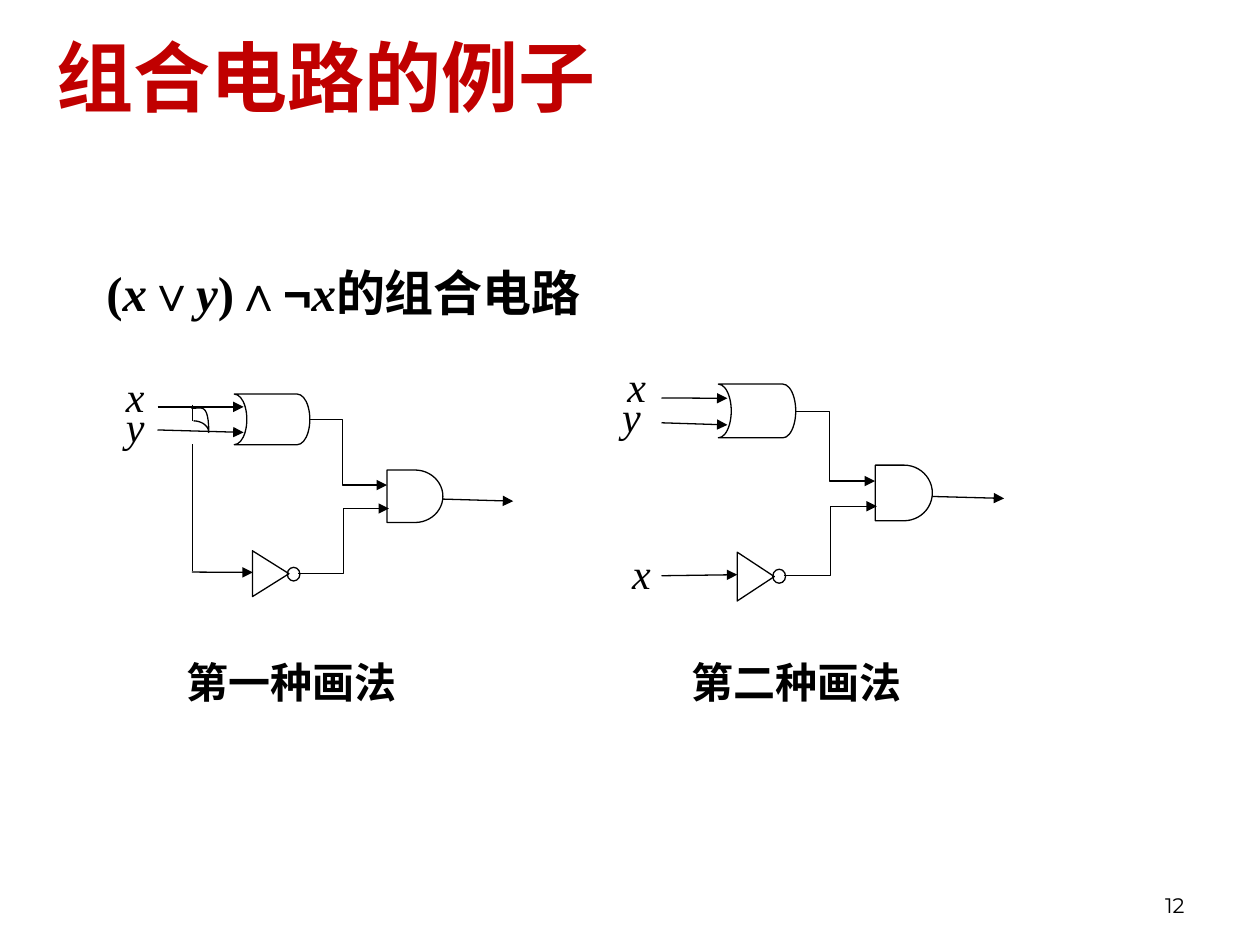
from lxml import etree
from pptx import Presentation
from pptx.dml.color import RGBColor
from pptx.enum.shapes import MSO_CONNECTOR, MSO_SHAPE
from pptx.enum.text import MSO_ANCHOR, PP_ALIGN
from pptx.oxml.ns import qn
from pptx.util import Pt

RED = RGBColor(0xC0, 0x00, 0x00)
BLACK = RGBColor(0x00, 0x00, 0x00)
SERIF, SANS, NUMBER = "Times New Roman", "Arial", "Montserrat"
STRAIGHT, ELBOW = MSO_CONNECTOR.STRAIGHT, MSO_CONNECTOR.ELBOW
OR_GATE, AND_GATE = MSO_SHAPE.FLOWCHART_STORED_DATA, MSO_SHAPE.FLOWCHART_DELAY
TRIANGLE, CIRCLE = MSO_SHAPE.ISOSCELES_TRIANGLE, MSO_SHAPE.OVAL
TOP, MIDDLE, BOTTOM = MSO_ANCHOR.TOP, MSO_ANCHOR.MIDDLE, MSO_ANCHOR.BOTTOM
LEFT, RIGHT, JUSTIFY = PP_ALIGN.LEFT, PP_ALIGN.RIGHT, PP_ALIGN.JUSTIFY
LINE_WIDTH = Pt(0.75)

prs = Presentation()
prs.slide_width, prs.slide_height = Pt(720), Pt(540)
s = prs.slides.add_slide(prs.slide_layouts[6])


def add_text(box, runs, size, color=BLACK, align=JUSTIFY, anchor=TOP):
    """Add a text box; runs holds (text, font, bold, italic)."""
    tf = s.shapes.add_textbox(*map(Pt, box)).text_frame
    tf.word_wrap = True
    tf.vertical_anchor = anchor
    p = tf.paragraphs[0]
    p.alignment = align
    for text, font, bold, italic in runs:
        r = p.add_run()
        r.text = text
        r.font.name, r.font.size = font, Pt(size)
        r.font.bold, r.font.italic = bold, italic
        r.font.color.rgb = color
    return tf


def add_wire(group, ends, arrow=True, kind=STRAIGHT, bend=None):
    """Add a wire (x1, y1, x2, y2), with the elbow at the fraction bend."""
    c = group.shapes.add_connector(kind, *map(Pt, ends))
    c.line.width = LINE_WIDTH
    c.line.color.rgb = BLACK
    sp_pr = c._element.spPr
    if arrow:
        etree.SubElement(sp_pr.find(qn("a:ln")), qn("a:tailEnd"), type="triangle")
    if bend:
        guides = sp_pr.find(qn("a:prstGeom")).find(qn("a:avLst"))
        etree.SubElement(guides, qn("a:gd"), name="adj1", fmla=f"val {round(bend * 100000)}")
    etree.SubElement(sp_pr, qn("a:effectLst"))


# Title, page number and formula
add_text((25.2, 0, 630, 86.4), [("组合电路的例子", SANS, True, False)], 44, RED, LEFT, MIDDLE)
add_text((516, 492, 168, 36), [("12", NUMBER, False, False)], 12, BLACK, RIGHT, BOTTOM)
formula = [
    ("(", SERIF, True, False),
    ("x", SERIF, True, True),
    ("∨", SERIF, True, False),
    ("y", SERIF, True, True),
    (")∧", SERIF, True, False),
    ("¬", SANS, True, False),
    ("x", SERIF, True, True),
    ("的组合电路", SERIF, True, False),
]
tf = add_text((39.6, 146.2, 624, 298), formula, 28)
tf.margin_left = Pt(21.2)

# Both circuits: gates (shape, box), straight input/output wires, elbow wires
circuits = [
    {
        "gates": [(OR_GATE, (133.9, 225.2, 43.2, 28.9)), (TRIANGLE, (141.6, 317.4, 26.2, 20.9)),
                  (CIRCLE, (164.2, 324.2, 7.2, 7.8)), (AND_GATE, (221.2, 268.6, 31.9, 30))],
        "wires": [(90, 232.5, 139.2, 232.5), (90, 245.7, 139.2, 247.1),
                  (109.6, 326.9, 144.5, 327.1), (253, 285.2, 293.3, 286.4)],
        "elbows": [((176.7, 239.6, 221.2, 277.2), 0.43), ((170.6, 327.6, 222.3, 290.6), 0.5)],
    },
    {
        "gates": [(OR_GATE, (410.5, 219.5, 44.2, 30.7)), (TRIANGLE, (417.9, 318.9, 27.9, 21.2)),
                  (CIRCLE, (441.6, 325.3, 7.3, 8)), (AND_GATE, (500.2, 265.8, 32.6, 31.8))],
        "wires": [(378, 227.4, 415.7, 227.6), (378, 241.6, 415.7, 242.8),
                  (378, 329, 421.3, 328.4), (532.8, 283.7, 573.8, 284.8)],
        "elbows": [((454.4, 235.2, 500, 274.9), 0.43), ((448, 328.9, 501.1, 289.3), 0.5)],
    },
]
groups = []
for circuit in circuits:
    group = s.shapes.add_group_shape()
    groups.append(group)
    for kind, box in circuit["gates"]:
        sp = group.shapes.add_shape(kind, *map(Pt, box))
        sp.shadow.inherit = False
        sp.fill.background()
        sp.line.color.rgb = BLACK
        sp.line.width = LINE_WIDTH
        if kind == OR_GATE:
            sp._element.spPr.xfrm.set("flipH", "1")
        elif kind == TRIANGLE:
            sp.rotation = 90
    for ends in circuit["wires"]:
        add_wire(group, ends)
    for ends, bend in circuit["elbows"]:
        add_wire(group, ends, kind=ELBOW, bend=bend)

# Branch of x in the first circuit, hopping over the y wire
for top, bottom in [(231.3, 240.3), (254, 326.2)]:
    add_wire(groups[0], (110.2, top, 110.2, bottom), arrow=False)

start = (110.6, 240.5)
curves = [
    [start, (115.2, 240.5), (119.3, 243.4), (119.3, 247.1)],
    [(119.3, 247.1), (119.3, 230.4), (115.2, 233.3), (110.6, 233.3)],
    [(110.6, 233.3), (110.2, 233.3), (109.8, 233.3), (109.4, 233.3)],
]
steps = 12
hop = []
for curve in curves:
    for i in range(1, steps + 1):
        t = i / steps
        weights = ((1 - t) ** 3, 3 * t * (1 - t) ** 2, 3 * t * t * (1 - t), t ** 3)
        hop.append(tuple(Pt(sum(w * pt[axis] for w, pt in zip(weights, curve))) for axis in (0, 1)))
builder = groups[0].shapes.build_freeform(Pt(start[0]), Pt(start[1]))
builder.add_line_segments(hop, close=False)
sp = builder.convert_to_shape()
sp.shadow.inherit = False
sp.fill.background()
sp.line.color.rgb = BLACK
sp.line.width = LINE_WIDTH

# Input labels
for name, left, top in [("x", 64.8, 208.1), ("y", 64.8, 225.4), ("x", 351.4, 202.3),
                        ("y", 348.5, 219.6), ("x", 354.2, 309.6)]:
    add_text((left, top, 31, 33.8), [(name, SERIF, False, True)], 24)

# Captions
for caption, left in [("第一种画法", 99.4), ("第二种画法", 388.1)]:
    add_text((left, 371.5, 136.8, 33.8), [(caption, SERIF, True, False)], 24)

prs.save("out.pptx")
